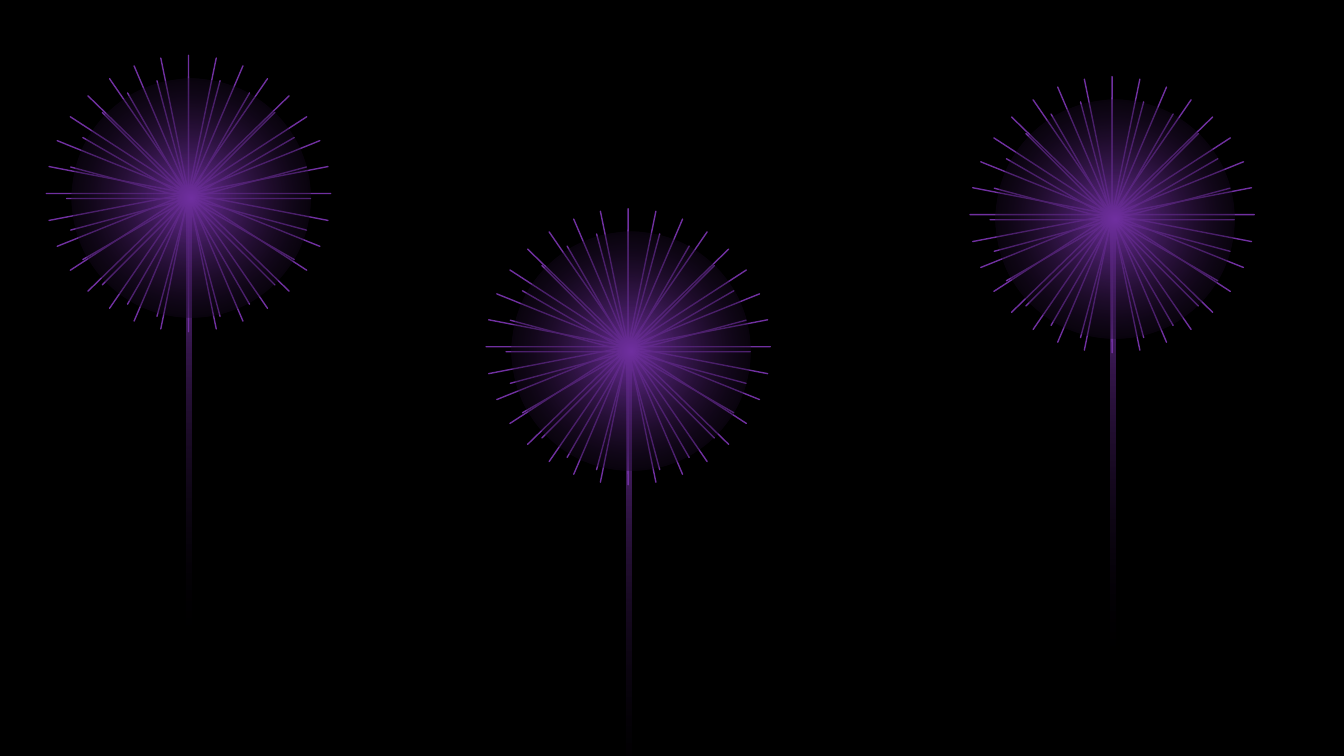
from lxml.etree import SubElement
from pptx import Presentation
from pptx.dml.color import RGBColor
from pptx.enum.shapes import MSO_SHAPE
from pptx.oxml.ns import qn
from pptx.util import Inches, Pt

COLORS = {"night": "000000", "bloom": "7030A0", "haze": "240F33"}
STEM_STOPS = [(0, "bloom", 100), (100, "night", 0)]
GLOW_STOPS = [(0, "bloom", 100), (60, "haze", 50), (100, "night", 0)]
FLOWERS = [(4.82, 2.07), (9.62, 0.76), (0.46, 0.55)]


class DandelionSlide:
    def __init__(self, presentation):
        self.slide = presentation.slides.add_slide(presentation.slide_layouts[6])
        background = self.slide.background.fill
        background.solid()
        background.fore_color.rgb = self.color("night")

    def color(self, name):
        return RGBColor.from_string(COLORS[name])

    def shape(self, shapes, kind, left, top, width, height):
        shape = shapes.add_shape(
            kind, Inches(left), Inches(top), Inches(width), Inches(height)
        )
        shape.shadow.inherit = False
        shape.fill.background()
        shape.line.fill.background()
        return shape

    def rays(self, shapes, kind, left, top, width, height):
        star = self.shape(shapes, kind, left, top, width, height)
        star.adjustments[0] = 0
        star.line.color.rgb = self.color("bloom")
        star.line.width = Pt(1)

    def gradient(self, shape, stops, circular=False):
        properties = shape.fill._xPr
        empty_fill = properties.find(qn("a:noFill"))
        gradient = SubElement(properties, qn("a:gradFill"), rotWithShape="1")
        properties.replace(empty_fill, gradient)
        stop_list = SubElement(gradient, qn("a:gsLst"))
        for position, name, opacity in stops:
            stop = SubElement(stop_list, qn("a:gs"), pos=str(position * 1000))
            color = SubElement(stop, qn("a:srgbClr"), val=COLORS[name])
            if opacity < 100:
                SubElement(color, qn("a:alpha"), val=str(opacity * 1000))
        if circular:
            circle = SubElement(gradient, qn("a:path"), path="circle")
            center = dict.fromkeys("ltrb", "50000")
            SubElement(circle, qn("a:fillToRect"), **center)
        else:
            SubElement(gradient, qn("a:lin"), ang="5400000", scaled="0")

    def flower(self, left, top):
        stem = self.shape(
            self.slide.shapes, MSO_SHAPE.RECTANGLE, left + 1.39, top + 1.47, 0.05, 4.57
        )
        self.gradient(stem, STEM_STOPS)
        head = self.slide.shapes.add_group_shape().shapes
        self.rays(head, MSO_SHAPE.STAR_32_POINT, left, top, 2.82, 2.74)
        self.rays(head, MSO_SHAPE.STAR_24_POINT, left + 0.2, top + 0.21, 2.42, 2.42)
        glow = self.shape(head, MSO_SHAPE.OVAL, left + 0.25, top + 0.23, 2.37, 2.37)
        self.gradient(glow, GLOW_STOPS, circular=True)


presentation = Presentation()
presentation.slide_width = Inches(13.33)
presentation.slide_height = Inches(7.5)
dandelions = DandelionSlide(presentation)
for left, top in FLOWERS:
    dandelions.flower(left, top)
presentation.save("out.pptx")
